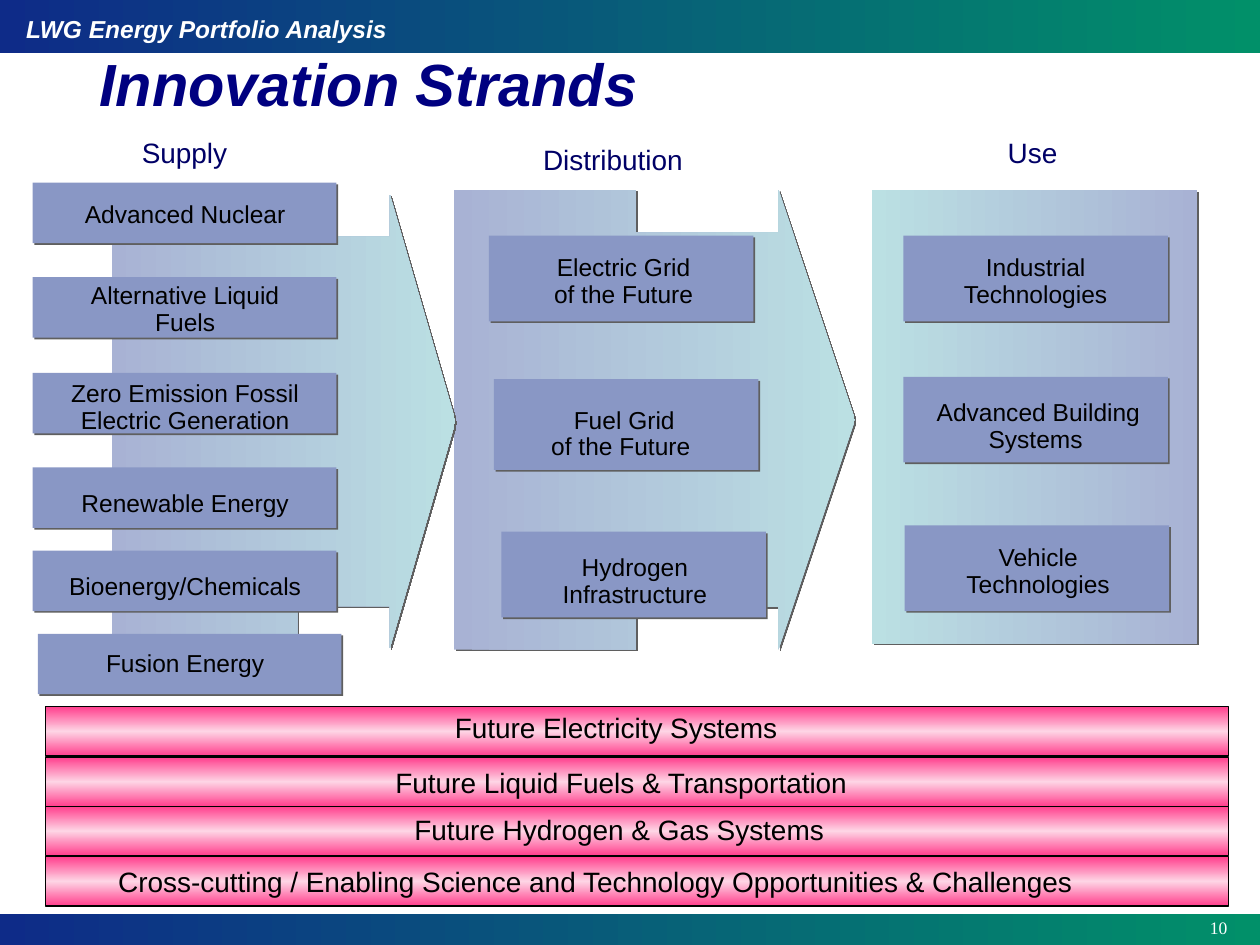
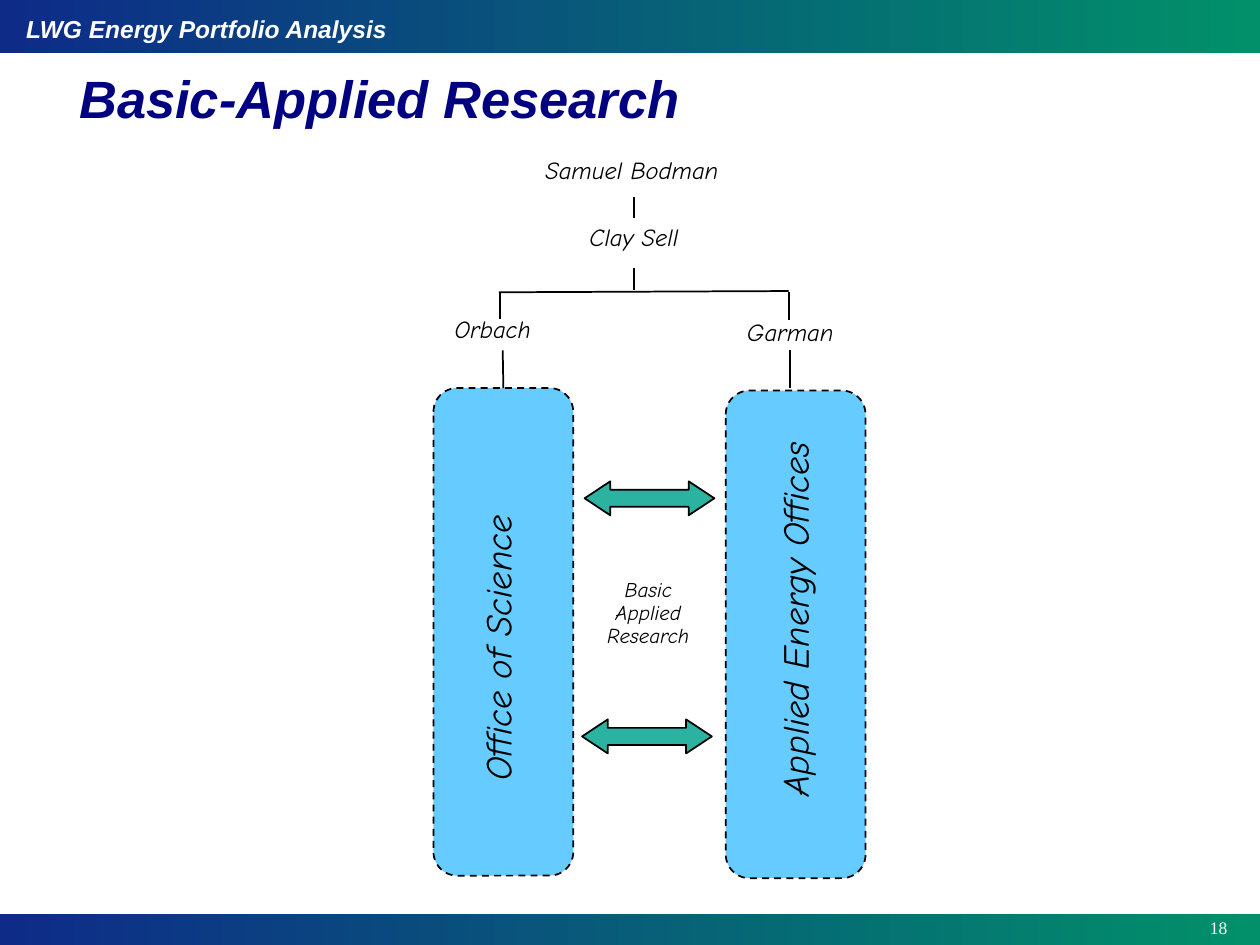
from dataclasses import dataclass
from typing import Optional

from pptx import Presentation
from pptx.dml.color import RGBColor
from pptx.enum.dml import MSO_LINE
from pptx.enum.shapes import MSO_CONNECTOR, MSO_SHAPE
from pptx.enum.text import MSO_ANCHOR, MSO_AUTO_SIZE, PP_ALIGN
from pptx.oxml import parse_xml
from pptx.oxml.ns import nsdecls, qn
from pptx.util import Inches, Pt

RECT, ROUNDED = MSO_SHAPE.RECTANGLE, MSO_SHAPE.ROUNDED_RECTANGLE
CALLOUT, DOUBLE_ARROW = MSO_SHAPE.UP_ARROW_CALLOUT, MSO_SHAPE.LEFT_RIGHT_ARROW
STRAIGHT, DASH = MSO_CONNECTOR.STRAIGHT, MSO_LINE.DASH
LEFT, CENTER, RIGHT = PP_ALIGN.LEFT, PP_ALIGN.CENTER, PP_ALIGN.RIGHT
TOP, MIDDLE = MSO_ANCHOR.TOP, MSO_ANCHOR.MIDDLE
FIT_SHAPE = MSO_AUTO_SIZE.SHAPE_TO_FIT_TEXT

BLACK, WHITE, NAVY, TITLE_BLUE = "000000", "FFFFFF", "000066", "000080"
CARD, OFFICE, ARROW = "8997C5", "66CCFF", "2CB2A1"
BANNER = ("0E2B88", "019069")
FLOW = ("A8B2D4", "BBE0E3")
PINK = ("FF3F8D", "FED5E5", "FF3F8D")

HEADER = {"name": "Arial", "size": Pt(14), "bold": True, "italic": True}
BODY = {"name": "Arial", "size": Pt(14)}
HEADING = {"name": "Arial", "size": Pt(16)}
NUMBER = {"name": "Times New Roman", "size": Pt(10)}
NAME = {"name": "Comic Neue", "size": Pt(14), "italic": True}
SMALL_NAME = {**NAME, "size": Pt(12)}
OFFICE_NAME = {**NAME, "size": Pt(21)}


@dataclass
class Box:
    """Position and size in inches."""
    left: float
    top: float
    width: float
    height: float

    def emu(self) -> list:
        """Return the four lengths for python-pptx."""
        return [Inches(v) for v in (self.left, self.top, self.width, self.height)]


@dataclass
class Card:
    """A shadowed box and the place of its label."""
    box: Box
    label: Box
    text: str


@dataclass
class Stroke:
    """A straight line between two points."""
    x1: float
    y1: float
    x2: float
    y2: float


SUPPLY = [
    (0.26, 1.45, 1.56, "Advanced Nuclear"),
    (0.26, 2.2, 2.2, "Alternative Liquid\nFuels"),
    (0.26, 2.96, 2.98, "Zero Emission Fossil\nElectric Generation"),
    (0.26, 3.71, 3.85, "Renewable Energy"),
    (0.26, 4.37, 4.51, "Bioenergy/Chemicals"),
    (0.3, 5.03, 5.12, "Fusion Energy"),
]
CARDS = [Card(Box(x, y, 2.41, 0.48), Box(0.26, ty, 2.42, 0.28), text)
         for x, y, ty, text in SUPPLY] + [
    Card(Box(3.88, 1.87, 2.1, 0.68), Box(3.97, 1.98, 1.96, 0.47),
         "Electric Grid\nof the Future"),
    Card(Box(3.92, 3.01, 2.1, 0.72), Box(3.82, 3.19, 2.27, 0.47),
         "Fuel Grid\nof the Future "),
    Card(Box(3.98, 4.22, 2.1, 0.68), Box(4.06, 4.36, 1.96, 0.47),
         "Hydrogen\nInfrastructure"),
    Card(Box(7.17, 1.87, 2.1, 0.68), Box(7.24, 1.98, 1.96, 0.47),
         "Industrial Technologies"),
    Card(Box(7.17, 2.99, 2.1, 0.68), Box(7.24, 3.13, 1.96, 0.47),
         " Advanced Building Systems"),
    Card(Box(7.18, 4.17, 2.1, 0.68), Box(7.26, 4.28, 1.96, 0.28),
         "Vehicle Technologies"),
]
COLUMNS = [(0.35, 1.06, "Supply"), (3.75, 1.11, "Distribution"), (7.08, 1.06, "Use")]
CALLOUTS = [
    (Box(3.37, 1.74, 3.65, 3.18), (0.934, 0.573, 0.191, 0.453)),
    (Box(0.45, 1.98, 3.6, 2.73), (1.074, 0.659, 0.191, 0.54)),
]
SYSTEMS = [
    (5.61, Box(3.45, 5.59, 3, 0.37), " Future Electricity Systems"),
    (6.01, Box(3.04, 6.03, 4, 0.37), "Future Liquid Fuels & Transportation"),
    (6.4, Box(3.19, 6.4, 3.7, 0.37), "Future Hydrogen & Gas Systems"),
    (6.8, Box(0.84, 6.81, 8, 0.37),
     "Cross-cutting / Enabling Science and Technology Opportunities & Challenges"),
]
PEOPLE = [
    (Box(4.23, 1.26, 1.61, 0.26), "Samuel Bodman"),
    (Box(4.58, 1.79, 0.98, 0.26), "Clay Sell"),
    (Box(3.51, 2.52, 0.98, 0.26), "Orbach"),
    (Box(5.83, 2.54, 0.91, 0.26), "Garman"),
]
OFFICES = [
    (Box(3.44, 3.08, 1.11, 3.87), Box(2.62, 4.74, 2.74, 0.37), LEFT, "Office of Science"),
    (Box(5.76, 3.1, 1.11, 3.87), Box(4.71, 4.73, 3.28, 0.37), CENTER,
     "Applied Energy Offices"),
]
BRANCHES = [
    Stroke(5.03, 1.73, 5.03, 1.56), Stroke(5.03, 2.3, 5.03, 2.13),
    Stroke(3.96, 2.32, 6.26, 2.31), Stroke(3.97, 2.32, 3.97, 2.53),
    Stroke(6.26, 2.32, 6.26, 2.54), Stroke(6.27, 3.08, 6.27, 2.78),
]


def rgb(value: str) -> RGBColor:
    """Turn a hex string into a colour."""
    return RGBColor.from_string(value)


def apply(target, values: dict) -> None:
    """Set each value as an attribute of the target."""
    for key, value in values.items():
        setattr(target, key, value)


def add_gradient(sp, colors: tuple, angle: int) -> None:
    """Fill a shape with evenly spaced colours that ignore its rotation."""
    sp.fill.solid()
    stops = "".join(
        f'<a:gs pos="{100000 * i // (len(colors) - 1)}"><a:srgbClr val="{c}"/></a:gs>'
        for i, c in enumerate(colors))
    spPr = sp._element.spPr
    spPr.replace(spPr.find(qn("a:solidFill")), parse_xml(
        f'<a:gradFill {nsdecls("a")} rotWithShape="0"><a:gsLst>{stops}</a:gsLst>'
        f'<a:lin ang="{angle * 60000}" scaled="0"/></a:gradFill>'))


def add_shape(s, kind, box: Box, fill, angle: int = 0, line: Optional[float] = None,
              shadow: bool = False, adj: tuple = (), rotation: float = 0):
    """Draw a preset shape with a plain colour or a gradient."""
    sp = s.shapes.add_shape(kind, *box.emu())
    sp.rotation = rotation
    for i, value in enumerate(adj):
        sp.adjustments[i] = value
    if isinstance(fill, tuple):
        add_gradient(sp, fill, angle)
    else:
        sp.fill.solid()
        sp.fill.fore_color.rgb = rgb(fill)
    if line is None:
        sp.line.fill.background()
    else:
        sp.line.color.rgb = rgb(BLACK)
        sp.line.width = Pt(line)
    sp.shadow.inherit = False
    if shadow:
        sp._element.spPr.find(qn("a:effectLst")).append(parse_xml(
            f'<a:outerShdw {nsdecls("a")} blurRad="0" dist="{Pt(1.4)}" dir="2700000" '
            'algn="ctr" rotWithShape="0"><a:srgbClr val="5F5F5F"/></a:outerShdw>'))
    return sp


def add_text(s, box: Box, text: str, font: dict, color: str = BLACK, align=LEFT,
             anchor=TOP, wrap: bool = True, spacing: float = 0.9,
             inset: float = 0.05, rotation: float = 0) -> None:
    """Write a text box with one paragraph for each line."""
    sp = s.shapes.add_textbox(*box.emu())
    sp.rotation = rotation
    tf = sp.text_frame
    apply(tf, {"word_wrap": wrap, "vertical_anchor": anchor, "margin_top": Inches(inset)})
    if not wrap:
        tf.auto_size = FIT_SHAPE
    for i, content in enumerate(text.split("\n")):
        p = tf.add_paragraph() if i else tf.paragraphs[0]
        apply(p, {"alignment": align, "line_spacing": spacing})
        r = p.add_run()
        r.text = content
        apply(r.font, font)
        r.font.color.rgb = rgb(color)


def add_line(s, stroke: Stroke):
    """Draw a thin black line."""
    ends = (stroke.x1, stroke.y1, stroke.x2, stroke.y2)
    cxn = s.shapes.add_connector(STRAIGHT, *[Inches(v) for v in ends])
    cxn.line.color.rgb = rgb(BLACK)
    cxn.line.width = Pt(1)
    cxn._element.spPr.append(parse_xml(f'<a:effectLst {nsdecls("a")}/>'))
    return cxn


def add_slide(prs, title: str, box: Box, size: int, number: int):
    """Start a slide with its bands, header, title and number."""
    s = prs.slides.add_slide(prs.slide_layouts[6])
    for band in (Box(0, 7.25, 10, 0.25), Box(0, 0, 10, 0.42)):
        add_shape(s, RECT, band, BANNER)
    add_text(s, Box(0.11, 0.06, 3.13, 0.34), "LWG Energy Portfolio Analysis", HEADER,
             WHITE, wrap=False, spacing=1.0)
    add_text(s, box, title, {**HEADER, "size": Pt(size)}, TITLE_BLUE)
    add_text(s, Box(7.51, 7.23, 2.33, 0.52), str(number), NUMBER, WHITE, RIGHT, spacing=1.0)
    return s


def build_strands(prs) -> None:
    """Build the slide of supply, distribution and use."""
    s = add_slide(prs, "Innovation Strands", Box(0.69, 0.39, 5.34, 0.61), 34, 10)
    add_shape(s, RECT, Box(6.92, 1.51, 2.58, 3.6), FLOW[::-1], shadow=True)
    for box, adj in CALLOUTS:
        add_shape(s, CALLOUT, box, FLOW, shadow=True, adj=adj, rotation=90)
    for left, top, text in COLUMNS:
        add_text(s, Box(left, top, 2.23, 0.31), text, HEADING, NAVY, CENTER)
    for card in CARDS:
        add_shape(s, RECT, card.box, CARD, shadow=True)
        add_text(s, card.label, card.text, BODY, align=CENTER)
    for top, label, text in SYSTEMS:
        add_shape(s, RECT, Box(0.36, top, 9.39, 0.39), PINK, 90, 0.75)
        add_text(s, label, text, HEADING, spacing=1.0)


def build_research(prs) -> None:
    """Build the slide of the two research offices."""
    s = add_slide(prs, "Basic-Applied Research", Box(0.53, 0.53, 5.84, 0.55), 30, 18)
    for box, text in PEOPLE:
        add_text(s, box, text, NAME, inset=0)
    for stroke in BRANCHES:
        add_line(s, stroke)
    offices = []
    for box, label, align, text in OFFICES:
        sp = add_shape(s, ROUNDED, box, OFFICE, line=1, adj=(0.17,))
        sp.line.dash_style = DASH
        offices.append(sp)
        add_text(s, label, text, OFFICE_NAME, align=align, anchor=MIDDLE, inset=0,
                 rotation=270)
    add_line(s, Stroke(3.99, 3.08, 3.99, 2.78)).begin_connect(offices[0], 0)
    for left, top in ((4.64, 3.82), (4.62, 5.71)):
        add_shape(s, DOUBLE_ARROW, Box(left, top, 1.03, 0.27), ARROW, line=1,
                  adj=(0.5, 0.756))
    add_text(s, Box(4.69, 4.6, 0.91, 0.59), "Basic\nApplied\nResearch", SMALL_NAME,
             align=CENTER, anchor=MIDDLE, inset=0)


def main() -> None:
    """Build and save the presentation."""
    prs = Presentation()
    prs.slide_width, prs.slide_height = Inches(10), Inches(7.5)
    build_strands(prs)
    build_research(prs)
    prs.save("out.pptx")


if __name__ == "__main__":
    main()
